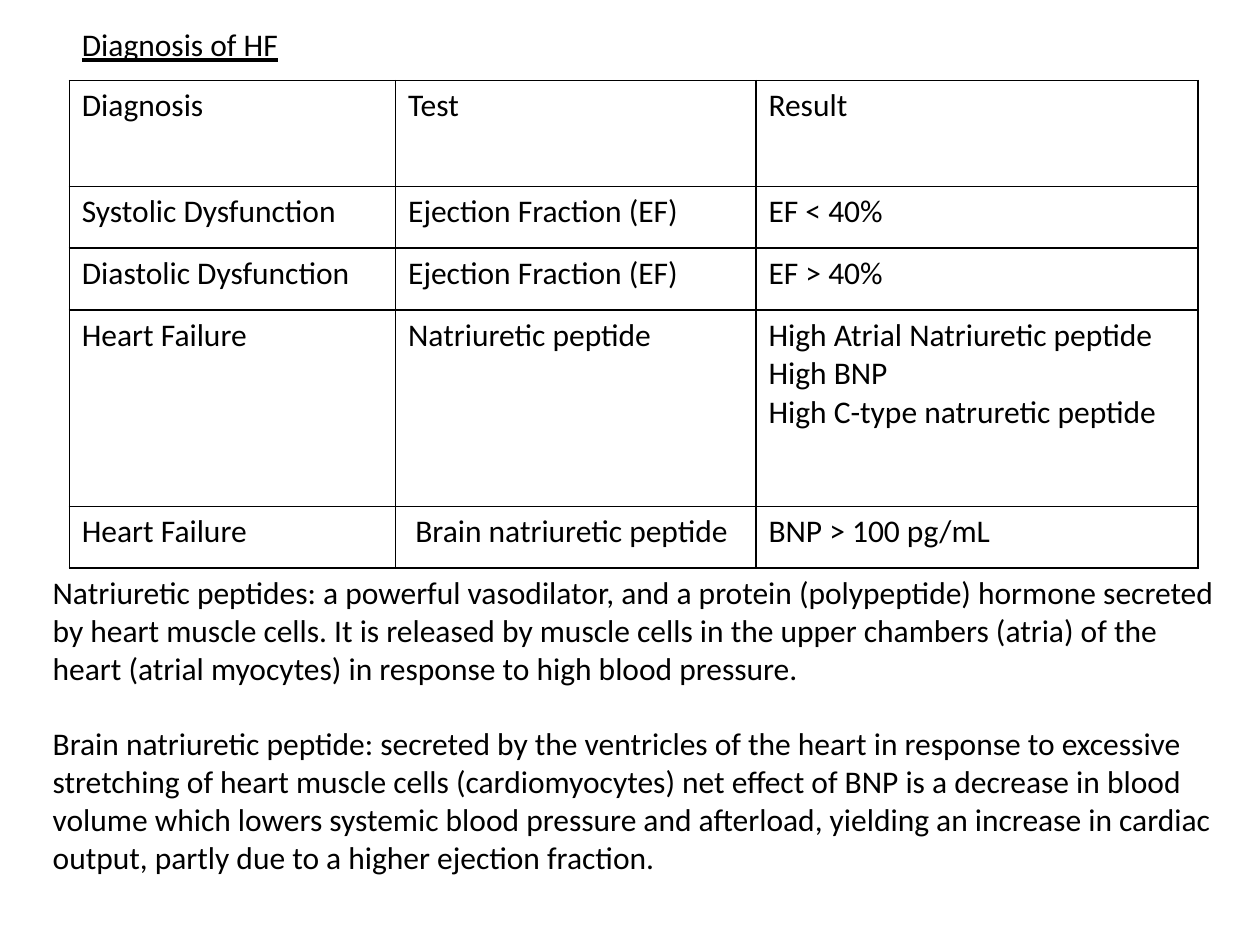
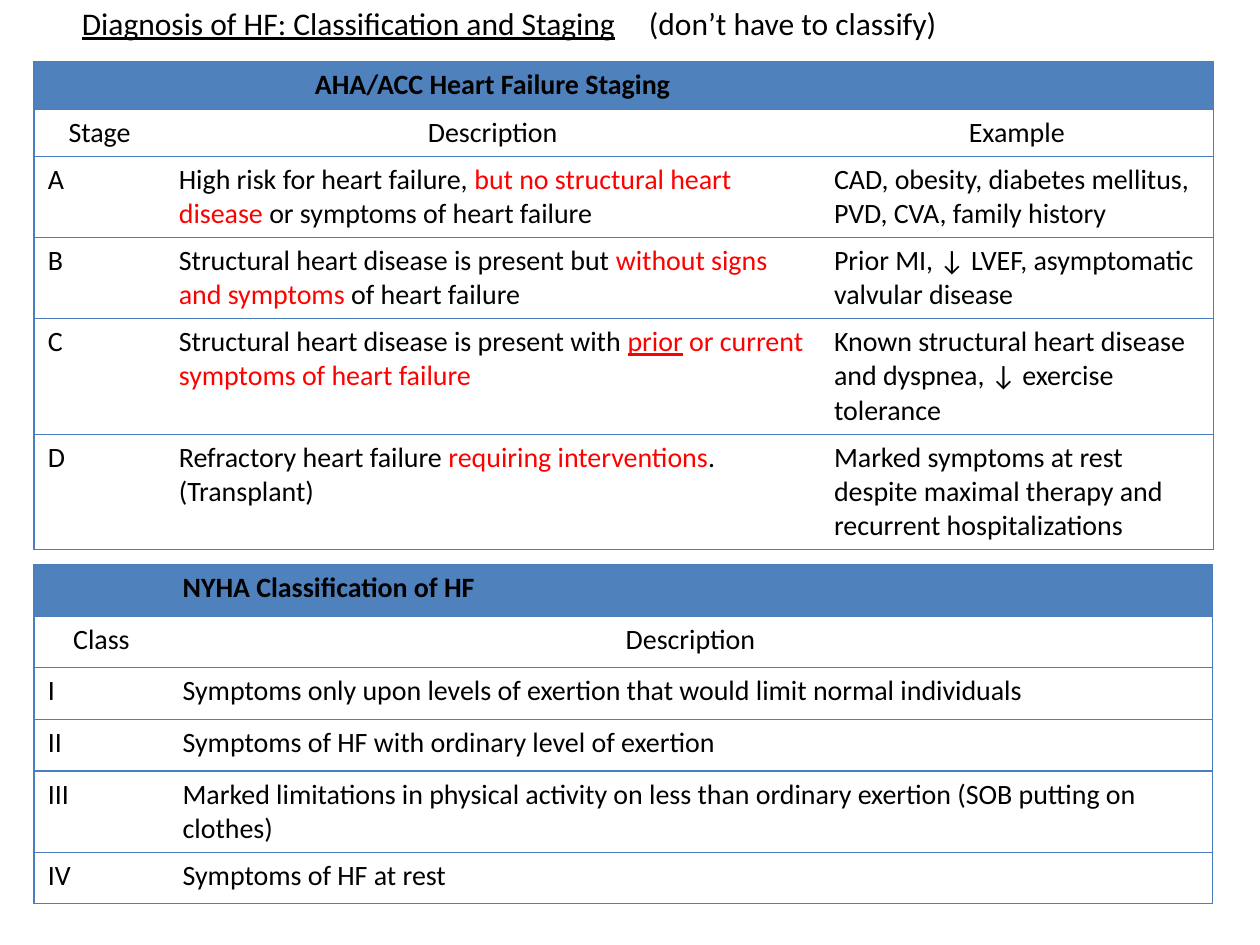
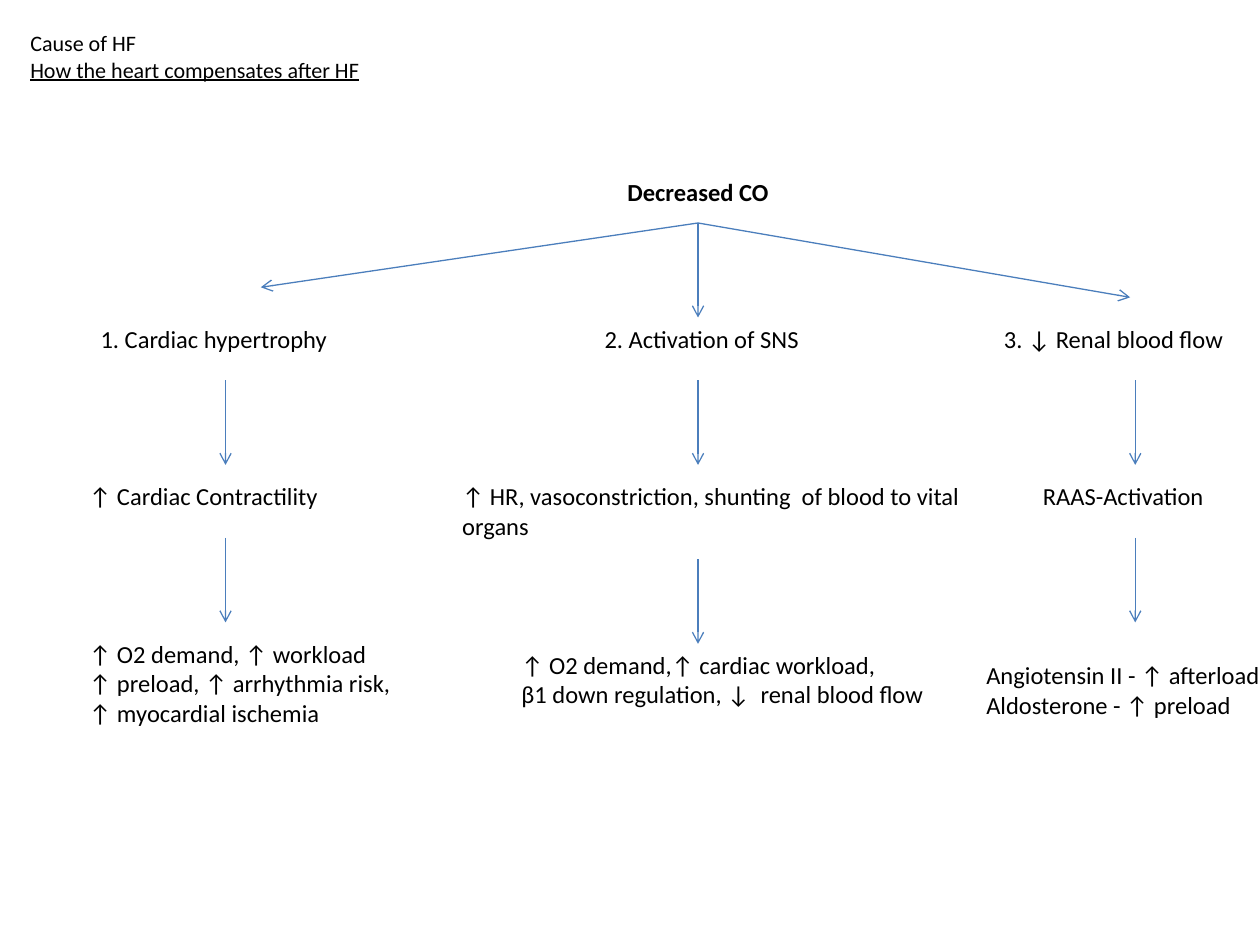
from lxml import etree
from pptx import Presentation
from pptx.dml.color import RGBColor
from pptx.enum.shapes import MSO_CONNECTOR
from pptx.enum.text import MSO_ANCHOR, MSO_AUTO_SIZE, PP_ALIGN
from pptx.oxml.ns import qn
from pptx.util import Inches, Pt

LEFT, CENTER = PP_ALIGN.LEFT, PP_ALIGN.CENTER
MIDDLE = MSO_ANCHOR.MIDDLE
NO_AUTOFIT = MSO_AUTO_SIZE.NONE
STRAIGHT = MSO_CONNECTOR.STRAIGHT
TITLE_ONLY = 5
PLAIN_TABLE = "{2D5ABB26-0587-4C30-8999-92F81FD0307C}"

FONT = "Calibri"
BLACK, RED, BLUE, HEADER_BLUE = "000000", "FF0000", "4B7EBC", "4F81BD"
RULED = {"underline": True}
BOLD = {"bold": True}
ALERT = {"color": RED}
ALERT_RULED = {"color": RED, "underline": True}


def rgb(value):
    return RGBColor.from_string(value)


class Deck:
    def __init__(self):
        self.deck = Presentation()
        self.deck.slide_width, self.deck.slide_height = Inches(10), Inches(7.5)
        self.page = None

    def add_page(self):
        self.page = self.deck.slides.add_slide(self.deck.slide_layouts[TITLE_ONLY])

    def add_paras(self, frame, paras, size, align=LEFT, gap=0, tabs=()):
        for index, spans in enumerate(paras):
            para = frame.add_paragraph() if index else frame.paragraphs[0]
            para.alignment = align
            if gap and index:
                para.space_before = Pt(gap)
            if tabs:
                stops = etree.SubElement(para._p.get_or_add_pPr(), qn("a:tabLst"))
                for tab in tabs:
                    etree.SubElement(stops, qn("a:tab"), pos=str(Inches(tab)), algn="l")
            for span in [spans] if isinstance(spans, (str, tuple)) else spans:
                text, style = (span, {}) if isinstance(span, str) else span
                run = para.add_run()
                run.text = text
                font = run.font
                font.name, font.size = FONT, Pt(size)
                font.bold = style.get("bold", False)
                font.underline = style.get("underline", False)
                font.color.rgb = rgb(style.get("color", BLACK))

    def title(self, left, top, width, height, paras, size=18, tabs=()):
        box = self.page.shapes.title
        box.left, box.top = Inches(left), Inches(top)
        box.width, box.height = Inches(width), Inches(height)
        frame = box.text_frame
        frame.auto_size, frame.vertical_anchor = NO_AUTOFIT, MIDDLE
        self.add_paras(frame, paras, size, tabs=tabs)

    def text(self, left, top, width, height, paras, size=14, **layout):
        box = self.page.shapes.add_textbox(
            Inches(left), Inches(top), Inches(width), Inches(height))
        box.text_frame.word_wrap = True
        self.add_paras(box.text_frame, paras, size, **layout)

    def arrow(self, start, end):
        line = self.page.shapes.add_connector(
            STRAIGHT, *(Inches(value) for value in start + end))
        line.line.color.rgb = rgb(BLUE)
        line.line.width = Pt(0.75)
        etree.SubElement(line.line._get_or_add_ln(), qn("a:tailEnd"), type="arrow")
        etree.SubElement(line._element.spPr, qn("a:effectLst"))

    def border(self, cell, side, color, width):
        line = etree.SubElement(
            cell._tc.get_or_add_tcPr(), qn("a:ln" + side), w=str(Pt(width)))
        if color:
            fill = etree.SubElement(line, qn("a:solidFill"))
            etree.SubElement(fill, qn("a:srgbClr"), val=color)
        else:
            etree.SubElement(line, qn("a:noFill"))

    def table(self, left, top, widths, heights, rows, size, color, width,
              inset=0.1, inner=True, header=None, centered=()):
        frame = self.page.shapes.add_table(
            len(heights), len(widths), Inches(left), Inches(top),
            Inches(sum(widths)), Inches(sum(heights)))
        table = frame.table
        table.first_row = table.horz_banding = False
        table._tbl.tblPr.find(qn("a:tableStyleId")).text = PLAIN_TABLE
        for column, value in zip(table.columns, widths):
            column.width = Inches(value)
        for row, value in zip(table.rows, heights):
            row.height = Inches(value)
        last = len(widths) - 1
        for y, row in enumerate(rows):
            for x, content in enumerate(row):
                cell = table.cell(y, x)
                cell.margin_left = cell.margin_right = Inches(inset)
                self.border(cell, "L", color if inner or x == 0 else None, width)
                self.border(cell, "R", color if inner or x == last else None, width)
                self.border(cell, "T", color, width)
                self.border(cell, "B", color, width)
                if header and y == 0:
                    cell.fill.solid()
                    cell.fill.fore_color.rgb = rgb(header)
                else:
                    cell.fill.background()
                paras = content.split("\n") if isinstance(content, str) else [content]
                self.add_paras(cell.text_frame, paras, size,
                               CENTER if y in centered else LEFT)


def diagnosis_page(deck):
    deck.add_page()
    deck.title(0.55, 0.15, 8.06, 0.4, [("Diagnosis of HF", RULED)])
    deck.table(0.55, 0.64, [2.59, 2.86, 3.51], [0.84, 0.49, 0.49, 1.56, 0.49], [
        ["Diagnosis", "Test", "Result"],
        ["Systolic Dysfunction", "Ejection Fraction (EF)", "EF < 40%"],
        ["Diastolic Dysfunction", "Ejection Fraction (EF)", "EF > 40%"],
        ["Heart Failure", "Natriuretic peptide",
         "High Atrial Natriuretic peptide\nHigh BNP\nHigh C-type natruretic peptide"],
        ["Heart Failure", " Brain natriuretic peptide", "BNP > 100 pg/mL"],
    ], size=18, color=BLACK, width=1)
    deck.text(0.32, 4.5, 9.43, 2.52, [
        "Natriuretic peptides: a powerful vasodilator, and a protein (polypeptide) "
        "hormone secreted by heart muscle cells. It is released by muscle cells in the "
        "upper chambers (atria) of the heart (atrial myocytes) in response to high "
        "blood pressure.",
        "Brain natriuretic peptide: secreted by the ventricles of the heart in response "
        "to excessive stretching of heart muscle cells (cardiomyocytes) net effect of "
        "BNP is a decrease in blood volume which lowers systemic blood pressure and "
        "afterload, yielding an increase in cardiac output, partly due to a higher "
        "ejection fraction.",
    ], size=18, gap=21.6)


def staging_page(deck):
    deck.add_page()
    deck.title(0.55, -0.02, 8.88, 0.4, [[
        ("Diagnosis of HF: Classification and Staging", RULED),
        "\t(don’t have to classify)"]], tabs=[4.5])
    grid = {"size": 16, "color": BLUE, "width": 0.75, "inset": 0.11,
            "inner": False, "header": HEADER_BLUE}
    deck.table(0.27, 0.49, [1.04, 5.2, 3.12], [0.36, 0.36, 0.63, 0.63, 0.9, 0.9], [
        ["", ("AHA/ACC Heart Failure Staging", BOLD), ""],
        ["Stage", "Description", "Example"],
        ["A", ["High risk for heart failure, ",
               ("but no structural heart disease", ALERT),
               " or symptoms of heart failure"],
         "CAD, obesity, diabetes mellitus, PVD, CVA, family history"],
        ["B", ["Structural heart disease is present but ",
               ("without signs and symptoms ", ALERT), "of heart failure"],
         "Prior MI, ↓ LVEF, asymptomatic valvular disease"],
        ["C", ["Structural heart disease is present with ", ("prior", ALERT_RULED),
               (" or current symptoms of heart failure", ALERT)],
         "Known structural heart disease and dyspnea, ↓ exercise tolerance"],
        ["D", ["Refractory heart failure ", ("requiring interventions", ALERT),
               ". (Transplant)"],
         "Marked symptoms at rest despite maximal therapy and recurrent hospitalizations"],
    ], centered=(0, 1), **grid)
    deck.table(0.27, 4.48, [1.07, 8.28], [0.41, 0.41, 0.41, 0.41, 0.63, 0.41], [
        ["", ("NYHA Classification of HF", BOLD)],
        ["Class", "Description"],
        ["I", "Symptoms only upon levels of exertion that would limit normal individuals"],
        ["II", "Symptoms of HF with ordinary level of exertion"],
        ["III", "Marked limitations in physical activity on less than ordinary exertion "
                "(SOB putting on clothes)"],
        ["IV", "Symptoms of HF at rest"],
    ], centered=(1,), **grid)


def compensation_page(deck):
    deck.add_page()
    deck.title(0.14, 0.25, 7.3, 0.39, [
        "Cause of HF", ("How the heart compensates after HF", RULED)], size=12.6)
    deck.text(1.08, 1.36, 8.92, 0.34, [("Decreased CO", BOLD)], align=CENTER)
    source = (5.54, 1.77)
    for target in [(2.07, 2.28), (8.97, 2.36), (5.54, 2.52)]:
        deck.arrow(source, target)
    deck.text(0.2, 2.52, 9.8, 0.34, [
        "\t1. Cardiac hypertrophy\t2. Activation of SNS\t3. ↓ Renal blood flow"],
        tabs=[0.5, 4.5, 7.67])
    for x, second_top in [(1.79, 4.27), (5.54, 4.44), (9.01, 4.27)]:
        for top in (3.02, second_top):
            deck.arrow((x, top), (x, top + 0.67))
    deck.text(0.61, 3.77, 3.38, 0.34, ["↑ Cardiac Contractility"])
    deck.text(0.61, 5.02, 3.75, 0.81, [
        "↑ O2 demand, ↑ workload", "↑ preload, ↑ arrhythmia risk,",
        "↑ myocardial ischemia"])
    deck.text(3.57, 3.77, 4.31, 0.57, [
        "↑ HR, vasoconstriction, shunting  of blood to vital organs"])
    deck.text(4.04, 5.11, 3.83, 0.57, [
        "↑ O2 demand,↑ cardiac workload,", "β1 down regulation, ↓  renal blood flow"])
    deck.text(7.83, 3.77, 2.17, 0.34, ["RAAS-Activation"], align=CENTER)
    deck.text(7.73, 5.19, 2.5, 0.57, [
        "Angiotensin II - ↑ afterload", "Aldosterone - ↑ preload"])


def main():
    deck = Deck()
    diagnosis_page(deck)
    staging_page(deck)
    compensation_page(deck)
    deck.deck.save("out.pptx")


if __name__ == "__main__":
    main()
